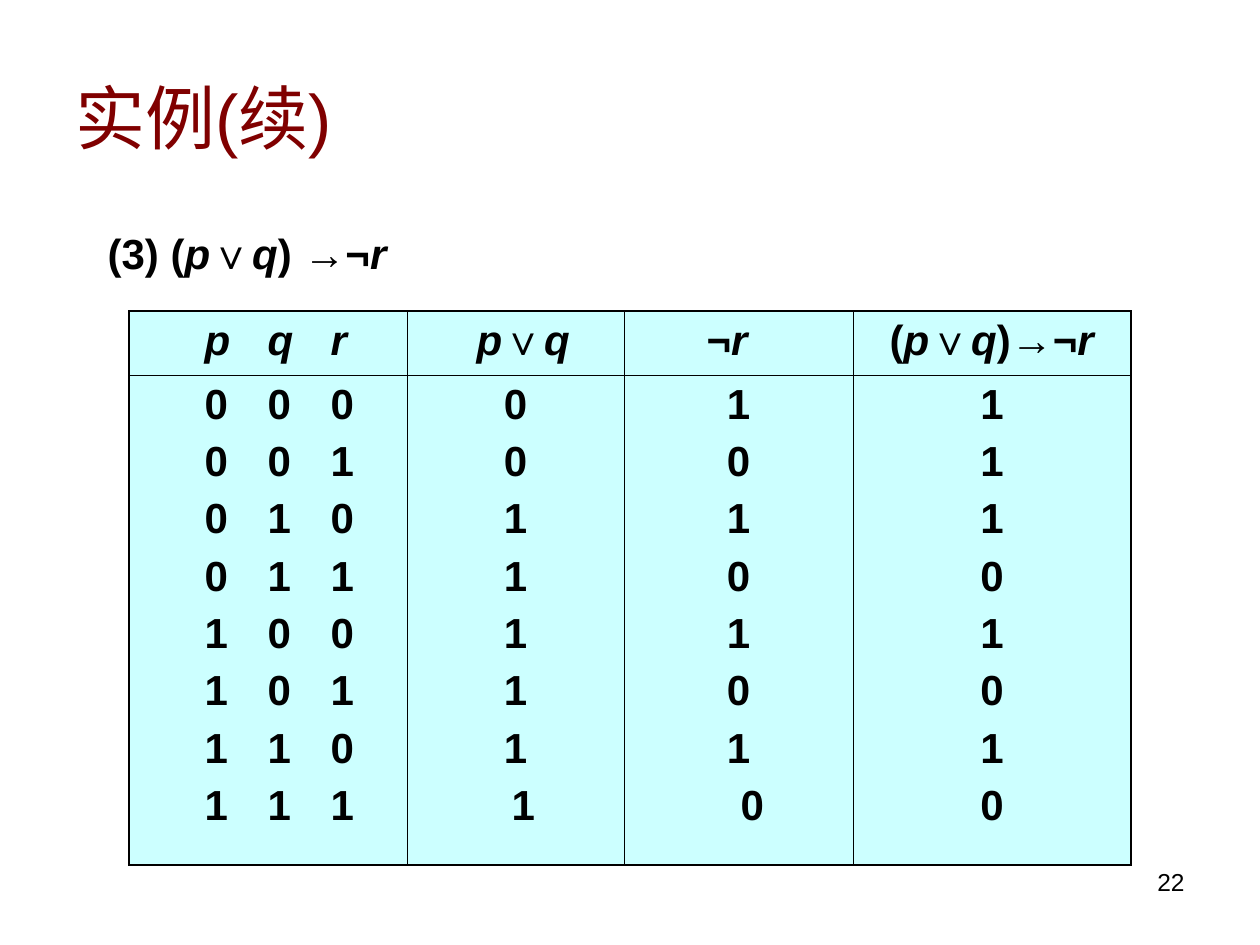
"""Build a truth table slide for a propositional formula."""
from dataclasses import dataclass
from itertools import product

from lxml import etree
from pptx import Presentation
from pptx.dml.color import RGBColor
from pptx.enum.text import MSO_ANCHOR, MSO_AUTO_SIZE, PP_ALIGN
from pptx.oxml.ns import qn
from pptx.util import Emu, Pt

LEFT, CENTER, RIGHT = PP_ALIGN.LEFT, PP_ALIGN.CENTER, PP_ALIGN.RIGHT
MIDDLE, TOP = MSO_ANCHOR.MIDDLE, MSO_ANCHOR.TOP
FIXED_SIZE = MSO_AUTO_SIZE.NONE
VARIABLES = "pqr"
COLUMN_WIDTHS = (278, 217, 229, 278)
ROW_HEIGHTS = (64, 490)


@dataclass(frozen=True)
class Theme:
    """Colours, font and type sizes of the slide."""

    font: str = "Arial"
    title: str = "800000"
    ink: str = "000000"
    cell: str = "CCFFFF"
    title_size: int = 40
    text_size: int = 24
    number_size: int = 14
    outer_line: float = 1.08
    inner_line: float = 0.45


THEME = Theme()


def px(length):
    """Turn a length in px into EMU."""
    return Emu(round(length * 914400 / 126))


def set_attributes(target, values):
    """Set every attribute named in a dict of format values."""
    for name, value in values.items():
        setattr(target, name, value)


def place(shape, box):
    """Move a shape to a box of left, top, width and height."""
    names = ("left", "top", "width", "height")
    set_attributes(shape, dict(zip(names, map(px, box))))


def add_text(paragraph, text, size, color=THEME.ink, bold=False):
    """Write text as runs, with the variables in italics when bold."""
    pieces = []
    for letter in text:
        italic = bold and letter in VARIABLES
        if pieces and pieces[-1][1] == italic:
            pieces[-1][0] += letter
        else:
            pieces.append([letter, italic])
    for piece, italic in pieces:
        run = paragraph.add_run()
        run.text = piece
        set_attributes(run.font, {"name": THEME.font, "size": Pt(size),
                                  "bold": bold, "italic": italic})
        run.font.color.rgb = RGBColor.from_string(color)


def format_formula(paragraph, text, alignment=LEFT, margin=0, tabs=()):
    """Write a bold formula line with a left margin and tab stops."""
    set_attributes(paragraph, {"alignment": alignment, "space_before": Pt(6)})
    properties = paragraph._p.get_or_add_pPr()
    properties.set("marL", str(px(margin)))
    properties.set("indent", "0")
    etree.SubElement(properties, qn("a:buNone"))
    if tabs:
        tab_list = etree.SubElement(properties, qn("a:tabLst"))
        for position in tabs:
            etree.SubElement(tab_list, qn("a:tab"), pos=str(px(position)), algn="l")
    add_text(paragraph, text, THEME.text_size, bold=True)


def set_borders(cell, widths):
    """Draw the left, right, top and bottom borders of a cell."""
    properties = cell._tc.get_or_add_tcPr()
    for index, (side, width) in enumerate(zip("LRTB", widths)):
        line = etree.Element(qn(f"a:ln{side}"), w=str(Pt(width)))
        fill = etree.SubElement(line, qn("a:solidFill"))
        etree.SubElement(fill, qn("a:srgbClr"), val=THEME.ink)
        properties.insert(index, line)


def add_title(slide, box):
    """Fill the title placeholder."""
    title = slide.shapes.title
    place(title, box)
    set_attributes(title.text_frame, {"vertical_anchor": MIDDLE, "auto_size": FIXED_SIZE})
    paragraph = title.text_frame.paragraphs[0]
    paragraph.alignment = LEFT
    add_text(paragraph, "实例(续)", THEME.title_size, THEME.title)


def add_formula(slide, box):
    """Fill the body placeholder with the numbered formula."""
    body = slide.placeholders[1]
    place(body, box)
    set_attributes(body.text_frame, {"vertical_anchor": TOP, "auto_size": FIXED_SIZE})
    format_formula(body.text_frame.paragraphs[0], "(3)\t(p∨q) →¬r", tabs=(75,))


def truth_columns():
    """Work out the lines of each table column."""
    columns = [[], [], [], []]
    for p, q, r in product((0, 1), repeat=3):
        either, negated = p | q, 1 - r
        values = (f"\t{p}\t{q}\t{r}", either, negated, (1 - either) | negated)
        for column, value in zip(columns, values):
            column.append(str(value))
    return columns


def add_truth_table(slide, box):
    """Add the table with one heading row and one row of stacked values."""
    table = slide.shapes.add_table(2, 4, *map(px, box)).table
    for column, width in zip(table.columns, COLUMN_WIDTHS):
        column.width = px(width)
    for row, height in zip(table.rows, ROW_HEIGHTS):
        row.height = px(height)

    headings = ("\tp\tq\tr", "p∨q", "¬r", "(p∨q)→¬r")
    heading_margins = (0, 57, 70, 24)
    last_margins = (0, 92, 104, None)
    outer, inner = THEME.outer_line, THEME.inner_line
    for index, values in enumerate(truth_columns()):
        heading, body = table.cell(0, index), table.cell(1, index)
        format_formula(heading.text_frame.paragraphs[0], headings[index],
                       margin=heading_margins[index], tabs=() if index else (70, 131, 191))
        for number, value in enumerate(values):
            frame = body.text_frame
            paragraph = frame.add_paragraph() if number else frame.paragraphs[0]
            last = number == len(values) - 1
            if index == 0:
                start = 70 if last else 56
                format_formula(paragraph, value, tabs=(start, start + 58, start + 117))
            elif last and last_margins[index]:
                format_formula(paragraph, value, margin=last_margins[index])
            else:
                format_formula(paragraph, value, CENTER)
        left = inner if index else outer
        right = outer if index == 3 else inner
        for cell, top, bottom in ((heading, outer, inner), (body, inner, outer)):
            cell.fill.solid()
            cell.fill.fore_color.rgb = RGBColor.from_string(THEME.cell)
            set_borders(cell, (left, right, top, bottom))


def add_slide_number(slide, box):
    """Add the page number at the lower right."""
    number = slide.shapes.add_textbox(*map(px, box))
    number.text_frame.word_wrap = True
    paragraph = number.text_frame.paragraphs[0]
    paragraph.alignment = RIGHT
    add_text(paragraph, "22", THEME.number_size)


def main():
    """Build and save the presentation."""
    presentation = Presentation()
    set_attributes(presentation, {"slide_width": px(1260), "slide_height": px(945)})
    slide = presentation.slides.add_slide(presentation.slide_layouts[1])
    add_slide_number(slide, (903, 861, 294, 66))
    add_title(slide, (63, 38, 1134, 158))
    add_formula(slide, (95, 221, 1071, 73))
    add_truth_table(slide, (129, 311, sum(COLUMN_WIDTHS), sum(ROW_HEIGHTS)))
    presentation.save("out.pptx")


if __name__ == "__main__":
    main()
